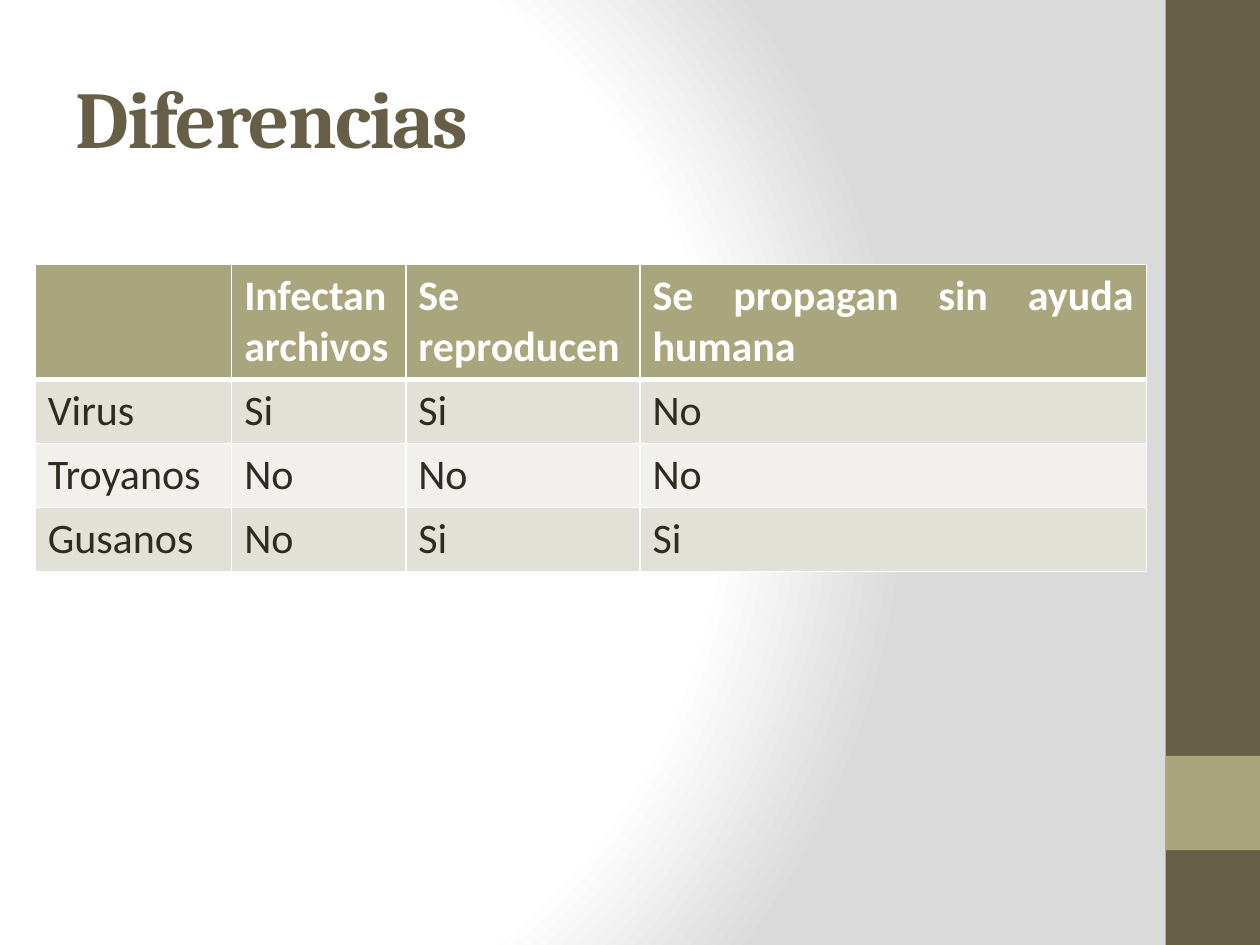
from pptx import Presentation
from pptx import util as u
from pptx.dml.color import RGBColor
from pptx.enum import shapes, text
from pptx.oxml import parse_xml
from pptx.oxml.ns import nsdecls, qn

BROWN, OLIVE, WHITE, INK = "675E47", "A9A57C", "FFFFFF", "2F2B20"
BANDS = ["E2E1D7", "F1F0EC"]


def paint(color_format, value):
    color_format.rgb = RGBColor.from_string(value)


def add_border(cell, side, points):
    """Draw one white cell border; side is L, R, T or B."""
    line = parse_xml(
        f'<a:ln{side} {nsdecls("a")} w="{u.Pt(points)}"><a:solidFill>'
        f'<a:srgbClr val="{WHITE}"/></a:solidFill></a:ln{side}>')
    properties = cell._tc.get_or_add_tcPr()
    properties.insert(len(properties) - 1, line)  # borders precede the fill


presentation = Presentation()
presentation.slide_width, presentation.slide_height = u.Cm(25.4), u.Cm(19.05)
slide = presentation.slides.add_slide(presentation.slide_layouts[5])

# Background: circular gradient
slide.background.fill.solid()
solid = slide.element.find(".//" + qn("a:solidFill"))
stops = "".join(
    f'<a:gs pos="{position * 1000}"><a:srgbClr val="{value}"/></a:gs>'
    for position, value in [(0, WHITE), (75, WHITE), (100, "DADADA")])
solid.getparent().replace(solid, parse_xml(
    f'<a:gradFill {nsdecls("a")} rotWithShape="1"><a:gsLst>{stops}</a:gsLst>'
    '<a:path path="circle"><a:fillToRect l="20000" t="50000" r="100000" b="50000"/>'
    '</a:path></a:gradFill>'))

# Side bar and its accent square
for top, height, color in [(0, 19.05, BROWN), (15.24, 1.9, OLIVE)]:
    bar = slide.shapes.add_shape(shapes.MSO_SHAPE.RECTANGLE,
                                 u.Cm(23.5), u.Cm(top), u.Cm(1.9), u.Cm(height))
    bar.shadow.inherit = False
    bar.fill.solid()
    paint(bar.fill.fore_color, color)
    bar.line.fill.background()

# Title
title = slide.shapes.title
title.left, title.top, title.width, title.height = map(u.Cm, (1.27, 0.76, 21.16, 3.18))
title.text_frame.text = "Diferencias"
title.text_frame.vertical_anchor = text.MSO_ANCHOR.MIDDLE
paragraph = title.text_frame.paragraphs[0]
paragraph.alignment = text.PP_ALIGN.LEFT
run = paragraph.runs[0]
for name, value in {"name": "Cambria", "size": u.Pt(46), "bold": True}.items():
    setattr(run.font, name, value)
paint(run.font.color, BROWN)
run.font._element.set("spc", "-100")

# Comparison table
rows = [
    ["", "Infectan archivos", "Se reproducen", "Se propagan sin ayuda humana"],
    ["Virus", "Si", "Si", "No"],
    ["Troyanos", "No", "No", "No"],
    ["Gusanos", "No", "Si", "Si"],
]
widths = [3.96, 3.51, 4.72, 10.21]
heights = [2.3, 1.29, 1.29, 1.29]
table = slide.shapes.add_table(len(rows), len(widths), u.Cm(0.71), u.Cm(5.33),
                               u.Cm(sum(widths)), u.Cm(sum(heights))).table
table.horz_banding = False
for column, width in zip(table.columns, widths):
    column.width = u.Cm(width)

for row_index, (words, height) in enumerate(zip(rows, heights)):
    table.rows[row_index].height = u.Cm(height)
    header = row_index == 0
    for column_index, word in enumerate(words):
        cell = table.cell(row_index, column_index)
        cell.fill.solid()
        paint(cell.fill.fore_color, OLIVE if header else BANDS[(row_index - 1) % 2])
        for side in "LRTB":
            thick = (header and side == "B") or (row_index == 1 and side == "T")
            add_border(cell, side, 3 if thick else 1)
        cell.text = word
        paragraph = cell.text_frame.paragraphs[0]
        paragraph.alignment = text.PP_ALIGN.JUSTIFY
        for name, value in {"name": "Calibri", "size": u.Pt(24), "bold": header}.items():
            setattr(paragraph.font, name, value)
            for run in paragraph.runs:
                setattr(run.font, name, value)
        for run in paragraph.runs:
            paint(run.font.color, WHITE if header else INK)

presentation.save("out.pptx")
